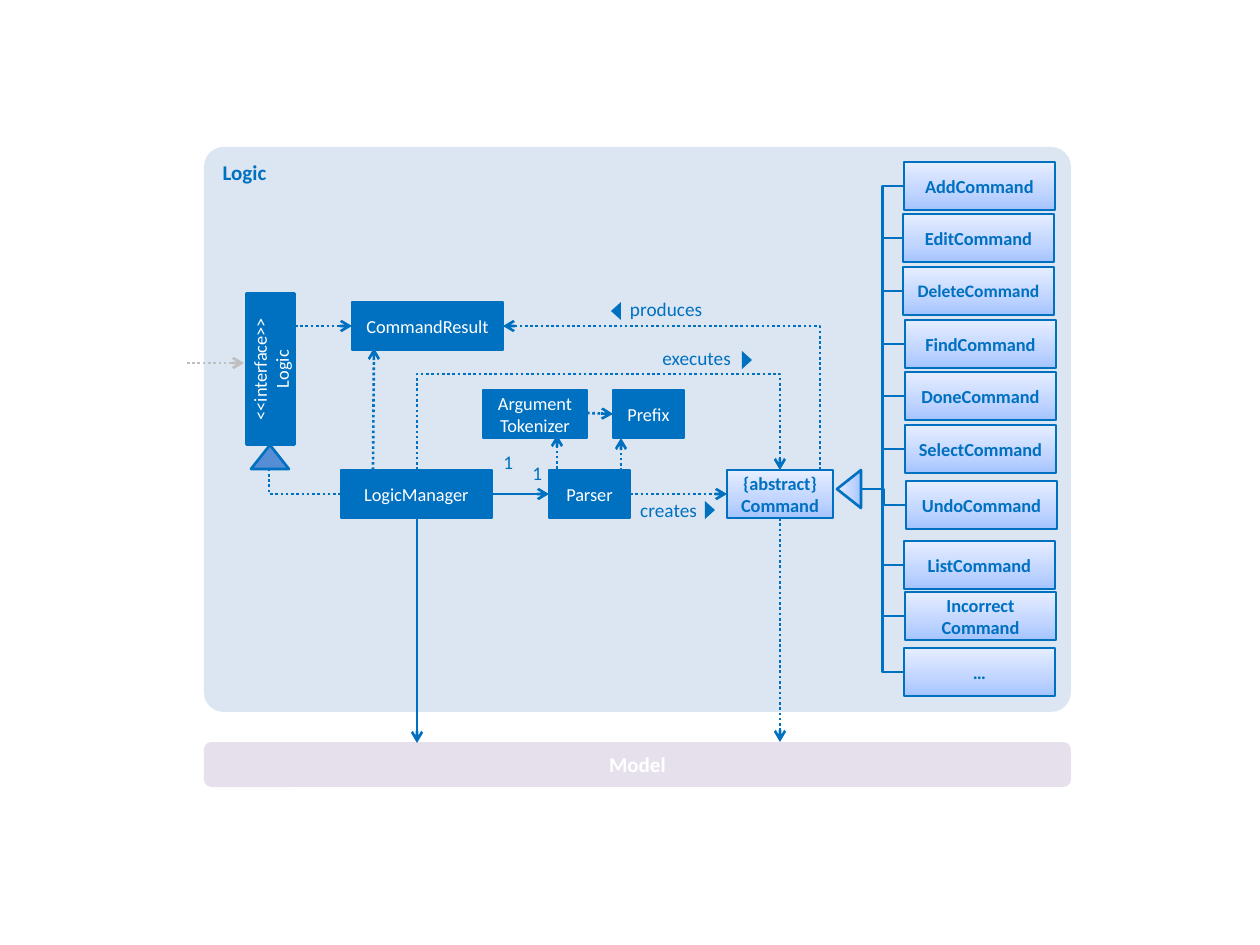
from copy import deepcopy
from lxml.etree import SubElement
from pptx import Presentation
from pptx.dml.color import RGBColor
from pptx.enum.dml import MSO_LINE
from pptx.enum.shapes import MSO_CONNECTOR as CXN, MSO_SHAPE as SHP
from pptx.enum.text import MSO_ANCHOR as ANC, PP_ALIGN as AL
from pptx.oxml.ns import qn
from pptx.util import Pt

PX = 914400 / 126
BLUE, WHITE, GREY = "0070C0", "FFFFFF", "BFBFBF"
GRADIENT = [(0, "A4C4FF"), (0.35, "BFD4FF"), (1, "E6EEFF")]
rgb = RGBColor.from_string

prs = Presentation()
prs.slide_width, prs.slide_height = round(1260 * PX), round(945 * PX)
s = prs.slides.add_slide(prs.slide_layouts[6])


def box(shapes, kind, at, text="", fill=BLUE, line=BLUE, color=WHITE, size=10.5,
        bold=False, align=AL.CENTER, anchor=ANC.MIDDLE, margin=0, rot=0):
    at = [round(v * PX) for v in at]
    if kind is None:
        sp = shapes.add_textbox(*at)
    else:
        sp = shapes.add_shape(kind, *at)
        sp.shadow.inherit = False
        sp.rotation = rot
        if fill == GRADIENT:
            sp.fill.gradient()
            sp.fill.gradient_angle = 90
            stops = sp._element.spPr.find(qn("a:gradFill")).find(qn("a:gsLst"))
            stops.insert(1, deepcopy(stops[0]))
            for stop, (pos, shade) in zip(sp.fill.gradient_stops, GRADIENT):
                stop.position = pos
                stop.color.rgb = rgb(shade)
        else:
            sp.fill.solid()
            sp.fill.fore_color.rgb = rgb(fill)
        if line:
            sp.line.color.rgb = rgb(line)
            sp.line.width = Pt(1.5)
        else:
            sp.line.fill.background()
    if text:
        tf = sp.text_frame
        tf.word_wrap = True
        tf.vertical_anchor = anchor
        tf.margin_left = tf.margin_right = round(margin * PX)
        tf.margin_top = tf.margin_bottom = round(margin * PX / 2)
        tf.text = text
        for p in tf.paragraphs:
            p.alignment = align
            p.font.name, p.font.size, p.font.bold = "Calibri", Pt(size), bold
            p.font.color.rgb = rgb(color)
    return sp


def wire(points, kind=CXN.STRAIGHT, dotted=True, arrow=True, color=BLUE):
    if len(points) == 2:
        ends = [round(v * PX) for point in points for v in point]
        c = s.shapes.add_connector(kind, *ends)
    else:
        path = s.shapes.build_freeform(*points[0], scale=PX)
        path.add_line_segments(points[1:], close=False)
        c = path.convert_to_shape()
        c.fill.background()
    c.line.color.rgb = rgb(color)
    c.line.width = Pt(1.5)
    if dotted:
        c.line.dash_style = MSO_LINE.ROUND_DOT
    spPr = c._element.spPr
    if arrow:
        SubElement(spPr.find(qn("a:ln")), qn("a:tailEnd"), type="arrow")
    SubElement(spPr, qn("a:effectLst"))


panel = box(s.shapes, SHP.ROUNDED_RECTANGLE, (204, 147, 867, 565), "Logic", "DCE6F2", None,
            BLUE, 12, True, AL.LEFT, ANC.TOP, 13)
panel.adjustments[0] = 0.035
box(s.shapes, SHP.ROUNDED_RECTANGLE, (204, 742, 867, 45), "Model", "E6E0EC", None,
    size=12, bold=True)

for text, at in [
    ("CommandResult", (352, 302, 151, 48)),
    ("LogicManager", (341, 470, 151, 48)),
    ("Parser", (549, 470, 81, 48)),
    ("Argument\vTokenizer", (483, 390, 104, 48)),
    ("Prefix", (613, 390, 71, 48)),
]:
    box(s.shapes, SHP.RECTANGLE, at, text)
box(s.shapes, SHP.RECTANGLE, (195, 345, 151, 48), "<<interface>>\nLogic", rot=270)
box(s.shapes, SHP.RECTANGLE, (727, 470, 106, 48), "{abstract}\vCommand", GRADIENT,
    color=BLUE, bold=True)

for text, x, y, size in [
    ("AddCommand", 904, 162, 10.5),
    ("EditCommand", 903, 214, 10.5),
    ("DeleteCommand", 903, 267, 10),
    ("FindCommand", 905, 320, 10.5),
    ("DoneCommand", 905, 372, 10.5),
    ("SelectCommand", 905, 425, 10.5),
    ("UndoCommand", 906, 481, 10.5),
    ("ListCommand", 904, 541, 10.5),
    ("Incorrect\vCommand", 905, 592, 10.5),
    ("…", 904, 648, 10.5),
]:
    wire([(861, 489), (x, y + 24)], CXN.ELBOW, dotted=False, arrow=False)
    box(s.shapes, SHP.RECTANGLE, (x, y, 151, 48), text, GRADIENT, color=BLUE,
        size=size, bold=True)

box(s.shapes, SHP.ISOSCELES_TRIANGLE, (830, 477, 38, 24), fill=GRADIENT, rot=270)
box(s.shapes, SHP.ISOSCELES_TRIANGLE, (251, 445, 38, 24), fill="558ED5")

for points in [
    [(820, 470), (820, 326), (503, 326)],
    [(417, 470), (417, 374), (780, 374), (780, 470)],
    [(295, 326), (352, 326)],
    [(630, 494), (727, 494)],
    [(780, 518), (780, 742)],
    [(373, 470), (374, 348)],
    [(557, 469), (557, 435)],
    [(587, 413), (613, 414)],
    [(621, 471), (621, 438)],
]:
    wire(points)
wire([(341, 494), (269, 494), (269, 469)], arrow=False)
wire([(492, 494), (549, 494)], dotted=False)
wire([(417, 518), (417, 743)], dotted=False)
wire([(187, 363), (244, 363)], color=GREY)

for text, at, align, pointer, rot in [
    ("executes", (630, 346, 101, 32), AL.RIGHT, (738, 355, 18, 10), 90),
    ("produces", (630, 297, 101, 32), AL.LEFT, (607, 306, 18, 10), 270),
    ("creates", (620, 498, 77, 32), AL.RIGHT, (701, 505, 18, 10), 90),
]:
    g = s.shapes.add_group_shape()
    box(g.shapes, None, at, text, color=BLUE, size=11, align=align, anchor=ANC.TOP)
    box(g.shapes, SHP.ISOSCELES_TRIANGLE, pointer, line=None, rot=rot)

for x, y in [(495, 450), (524, 461)]:
    box(s.shapes, None, (x, y, 18, 32), "1", color=BLUE, size=11, align=AL.RIGHT,
        anchor=ANC.TOP)

prs.save("out.pptx")
